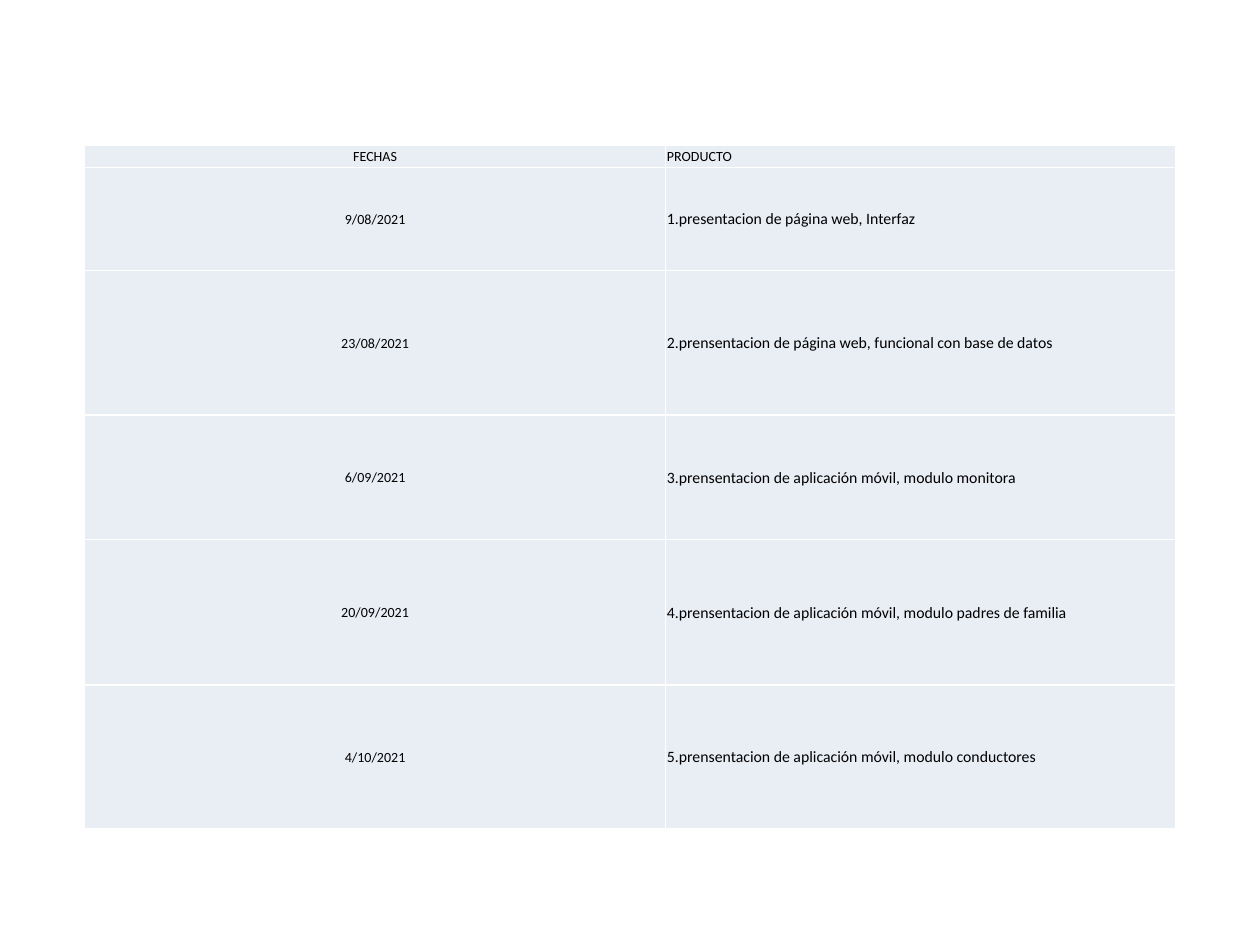
import pptx
import pptx.util
import pptx.dml.color
import pptx.enum.text
import pptx.oxml
import pptx.oxml.ns

Pt = pptx.util.Pt
RGBColor = pptx.dml.color.RGBColor
ALIGN = pptx.enum.text.PP_ALIGN

ROWS = [
    ("FECHAS", "PRODUCTO"),
    ("9/08/2021", "1.presentacion de página web, Interfaz"),
    ("23/08/2021", "2.prensentacion de página web, funcional con base de datos"),
    ("6/09/2021", "3.prensentacion de aplicación móvil, modulo monitora"),
    ("20/09/2021", "4.prensentacion de aplicación móvil, modulo padres de familia"),
    ("4/10/2021", "5.prensentacion de aplicación móvil, modulo conductores"),
]
ROW_HEIGHTS = [12.4, 58.9, 82.6, 71.4, 82.9, 82.3]
COLUMN_WIDTHS = [332, 291.5]
COLUMN_ALIGNMENTS = [ALIGN.CENTER, ALIGN.LEFT]
LEFT, TOP = 48.4, 83.2

BLACK = RGBColor(0x00, 0x00, 0x00)
WHITE = RGBColor(0xFF, 0xFF, 0xFF)
PALE_BLUE = RGBColor(0xE9, 0xED, 0xF4)

CELL_FORMAT = {
    "margin_left": Pt(0.75),
    "margin_right": Pt(0.75),
    "margin_top": Pt(0.75),
    "margin_bottom": Pt(0),
    "vertical_anchor": pptx.enum.text.MSO_ANCHOR.MIDDLE,
}
TABLE_FORMAT = {"first_row": False, "horz_banding": False}


def apply_format(target, values):
    for name, value in values.items():
        setattr(target, name, value)


def add_borders(cell):
    properties = cell._tc.get_or_add_tcPr()
    for position, side in enumerate(("lnL", "lnR", "lnT", "lnB")):
        border = pptx.oxml.parse_xml(
            f'<a:{side} {pptx.oxml.ns.nsdecls("a")} w="{Pt(1)}">'
            f'<a:solidFill><a:srgbClr val="{WHITE}"/></a:solidFill></a:{side}>'
        )
        properties.insert(position, border)


def fill_cell(cell, text, size, alignment):
    apply_format(cell, CELL_FORMAT)
    cell.fill.solid()
    cell.fill.fore_color.rgb = PALE_BLUE
    add_borders(cell)
    paragraph = cell.text_frame.paragraphs[0]
    paragraph.alignment = alignment
    run = paragraph.add_run()
    run.text = text
    apply_format(run.font, {"name": "Calibri", "size": Pt(size), "bold": False})
    run.font.color.rgb = BLACK


def main():
    presentation = pptx.Presentation()
    apply_format(presentation, {"slide_width": Pt(720), "slide_height": Pt(540)})
    slide = presentation.slides.add_slide(presentation.slide_layouts[6])
    shape = slide.shapes.add_table(
        len(ROWS), len(COLUMN_WIDTHS), Pt(LEFT), Pt(TOP),
        Pt(sum(COLUMN_WIDTHS)), Pt(sum(ROW_HEIGHTS)),
    )
    table = shape.table
    apply_format(table, TABLE_FORMAT)
    for column, width in zip(table.columns, COLUMN_WIDTHS):
        column.width = Pt(width)
    for row_index, texts in enumerate(ROWS):
        table.rows[row_index].height = Pt(ROW_HEIGHTS[row_index])
        for column_index, text in enumerate(texts):
            size = 9 if row_index and column_index else 8
            cell = table.cell(row_index, column_index)
            fill_cell(cell, text, size, COLUMN_ALIGNMENTS[column_index])
    presentation.save("out.pptx")


if __name__ == "__main__":
    main()
